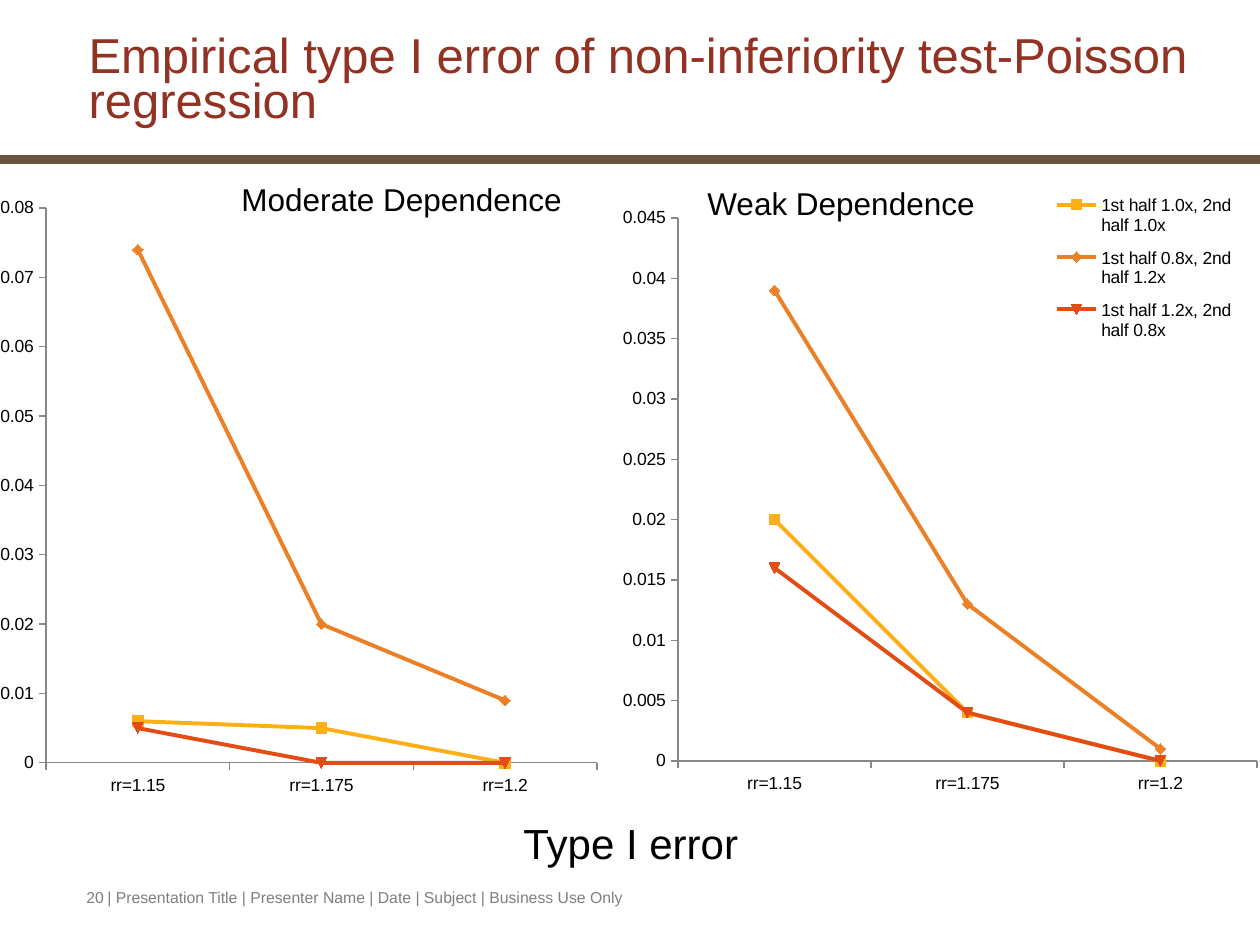
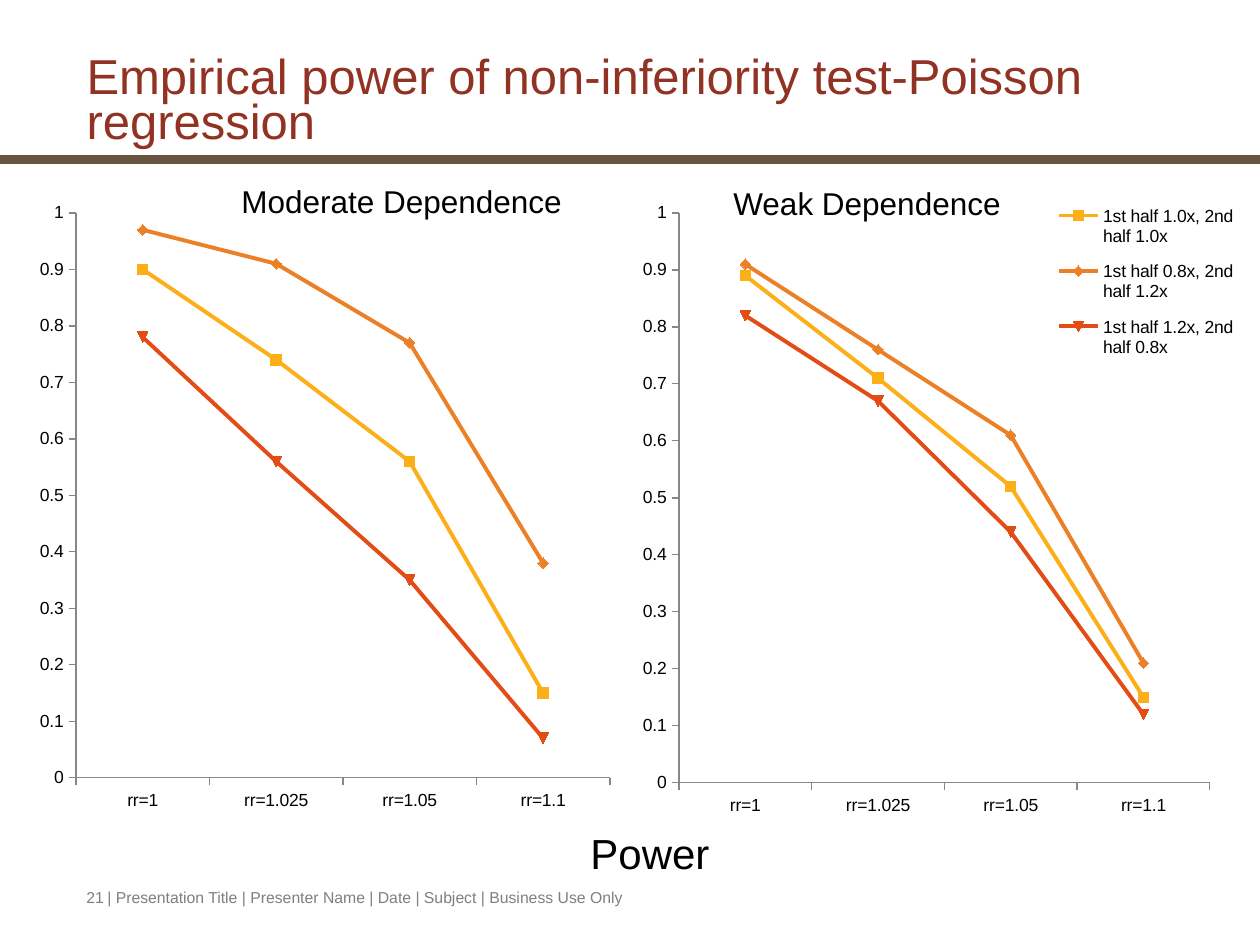
from lxml import etree
from pptx import Presentation
from pptx import util as u
from pptx.chart.data import CategoryChartData
from pptx.dml.color import RGBColor
from pptx.enum import chart as ch
from pptx.enum import shapes, text
from pptx.oxml.ns import qn

PX = 914400 / 126
FONT = "Arial"
COLORS = {
    "background": "FFFFFF", "band": "6A5540", "title": "923222",
    "footer": "7F7F7F", "text": "000000", "axis": "878787",
}
FOOTER = "| Presentation Title | Presenter Name | Date | Subject | Business Use Only"
SCENARIOS = [
    ("1st half 1.0x, 2nd half 1.0x", "FCAF17"),
    ("1st half 0.8x, 2nd half 1.2x", "EC8026"),
    ("1st half 1.2x, 2nd half 0.8x", "E44C16"),
]

# Boxes are (left, top, width, height) in px on the slide.
SLIDES = [
    {
        "number": 20,
        "title": ("Empirical type I error of non-inferiority test-Poisson regression",
                  (76, 21, 1147, 111)),
        "measure": ("Type I error", (511, 811, 255, 63)),
        "risk_ratios": ["rr=1.15", "rr=1.175", "rr=1.2"],
        "panels": [
            {"heading": ("Moderate Dependence", (229, 174, 349, 50)),
             "box": (0, 179, 639, 650), "plot": (46, 208, 551, 555), "legend": None,
             "maximum": 0.08, "step": 0.01,
             "rates": [(0.006, 0.005, 0), (0.074, 0.02, 0.009), (0.005, 0, 0)]},
            {"heading": ("Weak Dependence", (695, 178, 295, 50)),
             "box": (604, 174, 656, 653), "plot": (678, 218, 579, 543),
             "legend": (1046, 183, 196, 170),
             "maximum": 0.045, "step": 0.005,
             "rates": [(0.02, 0.004, 0), (0.039, 0.013, 0.001), (0.016, 0.004, 0)]},
        ],
    },
    {
        "number": 21,
        "title": ("Empirical power of non-inferiority test-Poisson regression",
                  (74, 42, 1147, 111)),
        "measure": ("Power", (578, 821, 146, 63)),
        "risk_ratios": ["rr=1", "rr=1.025", "rr=1.05", "rr=1.1"],
        "panels": [
            {"heading": ("Moderate Dependence", (229, 176, 349, 50)),
             "box": (24, 179, 669, 679), "plot": (76, 213, 534, 565), "legend": None,
             "maximum": 1, "step": 0.1,
             "rates": [(0.9, 0.74, 0.56, 0.15), (0.97, 0.91, 0.77, 0.38),
                       (0.78, 0.56, 0.35, 0.07)]},
            {"heading": ("Weak Dependence", (721, 178, 295, 50)),
             "box": (630, 179, 630, 685), "plot": (679, 213, 531, 570),
             "legend": (1048, 191, 196, 182),
             "maximum": 1, "step": 0.1,
             "rates": [(0.89, 0.71, 0.52, 0.15), (0.91, 0.76, 0.61, 0.21),
                       (0.82, 0.67, 0.44, 0.12)]},
        ],
    },
]


def emu(box):
    return [u.Emu(round(length * PX)) for length in box]


def rgb(name):
    return RGBColor.from_string(COLORS[name])


def style_font(font, size, color):
    font.name, font.size, font.color.rgb = FONT, u.Pt(size), rgb(color)


def add_label(slide, wording, box, size, color="text", wrap=False):
    frame = slide.shapes.add_textbox(*emu(box)).text_frame
    frame.word_wrap = wrap
    frame.text = wording
    style_font(frame.paragraphs[0].font, size, color)


def place_in_chart(parent, index, box, chart_box, inner=False):
    """Give a chart part a manual layout, as fractions of the chart box."""
    for old in parent.findall(qn("c:layout")):
        parent.remove(old)
    layout = etree.Element(qn("c:layout"))
    manual = etree.SubElement(layout, qn("c:manualLayout"))
    left, top, width, height = chart_box
    settings = [("layoutTarget", "inner")] if inner else []
    settings += [
        ("xMode", "edge"), ("yMode", "edge"),
        ("x", (box[0] - left) / width), ("y", (box[1] - top) / height),
        ("w", box[2] / width), ("h", box[3] / height),
    ]
    for tag, value in settings:
        etree.SubElement(manual, qn(f"c:{tag}")).set("val", str(value))
    parent.insert(index, layout)


def style_axis(axis):
    axis.has_major_gridlines = False
    axis.major_tick_mark = ch.XL_TICK_MARK.OUTSIDE
    axis.minor_tick_mark = ch.XL_TICK_MARK.NONE
    axis.format.line.color.rgb = rgb("axis")
    axis.format.line.width = u.Pt(0.75)


def add_panel(slide, panel, risk_ratios):
    data = CategoryChartData(number_format="General")
    data.categories = risk_ratios
    for number, ((scenario, _), rates) in enumerate(zip(SCENARIOS, panel["rates"]), 1):
        data.add_series(scenario if panel["legend"] else f"Series {number}", rates)
    chart = slide.shapes.add_chart(
        ch.XL_CHART_TYPE.LINE_MARKERS, *emu(panel["box"]), data).chart
    style_font(chart.font, 10, "text")
    chart.has_title = False
    chart.plots[0].vary_by_categories = False

    for series, (_, color) in zip(chart.plots[0].series, SCENARIOS):
        shade = RGBColor.from_string(color)
        series.smooth = False
        series.format.line.color.rgb = shade
        series.format.line.width = u.Pt(2.25)
        series.marker.style = ch.XL_MARKER_STYLE.AUTOMATIC
        series.marker.size = 6
        series.marker.format.fill.solid()
        series.marker.format.fill.fore_color.rgb = shade
        series.marker.format.line.color.rgb = shade

    style_axis(chart.category_axis)
    rate_axis = chart.value_axis
    style_axis(rate_axis)
    rate_axis.minimum_scale, rate_axis.maximum_scale = 0, panel["maximum"]
    rate_axis.major_unit = panel["step"]

    plot_area = chart.plots[0]._element.getparent()
    place_in_chart(plot_area, 0, panel["plot"], panel["box"], inner=True)
    chart.has_legend = panel["legend"] is not None
    if chart.has_legend:
        chart.legend.position = ch.XL_LEGEND_POSITION.RIGHT
        chart.legend.include_in_layout = False
        place_in_chart(chart.legend._element, 1, panel["legend"], panel["box"])


def add_frame(slide, content):
    """Add what both slides share: background, band, title and footer."""
    slide.background.fill.solid()
    slide.background.fill.fore_color.rgb = rgb("background")

    band = slide.shapes.add_shape(
        shapes.MSO_SHAPE.RECTANGLE, *emu((0, 155, 1260, 9)))
    band.shadow.inherit = False
    band.fill.solid()
    band.fill.fore_color.rgb = rgb("band")
    band.line.fill.background()

    wording, box = content["title"]
    title = slide.shapes.title
    title.left, title.top, title.width, title.height = emu(box)
    frame = title.text_frame
    frame.text = wording
    frame.word_wrap = True
    frame.auto_size = text.MSO_AUTO_SIZE.NONE
    frame.vertical_anchor = text.MSO_ANCHOR.TOP
    frame.margin_top = u.Inches(0.14)
    paragraph = frame.paragraphs[0]
    paragraph.alignment = text.PP_ALIGN.LEFT
    paragraph.line_spacing = 0.75
    style_font(paragraph.font, 28, "title")

    add_label(slide, FOOTER, (95, 882, 892, 34), 9, "footer", wrap=True)
    add_label(slide, str(content["number"]), (74, 882, 55, 34), 9, "footer", wrap=True)


def main():
    deck = Presentation()
    deck.slide_width, deck.slide_height = emu((1260, 945))
    title_only = deck.slide_layouts[5]
    for content in SLIDES:
        slide = deck.slides.add_slide(title_only)
        add_frame(slide, content)
        for panel in content["panels"]:
            add_panel(slide, panel, content["risk_ratios"])
        for panel in content["panels"]:
            add_label(slide, *panel["heading"], 18)
        add_label(slide, *content["measure"], 24)
    deck.save("out.pptx")


if __name__ == "__main__":
    main()
